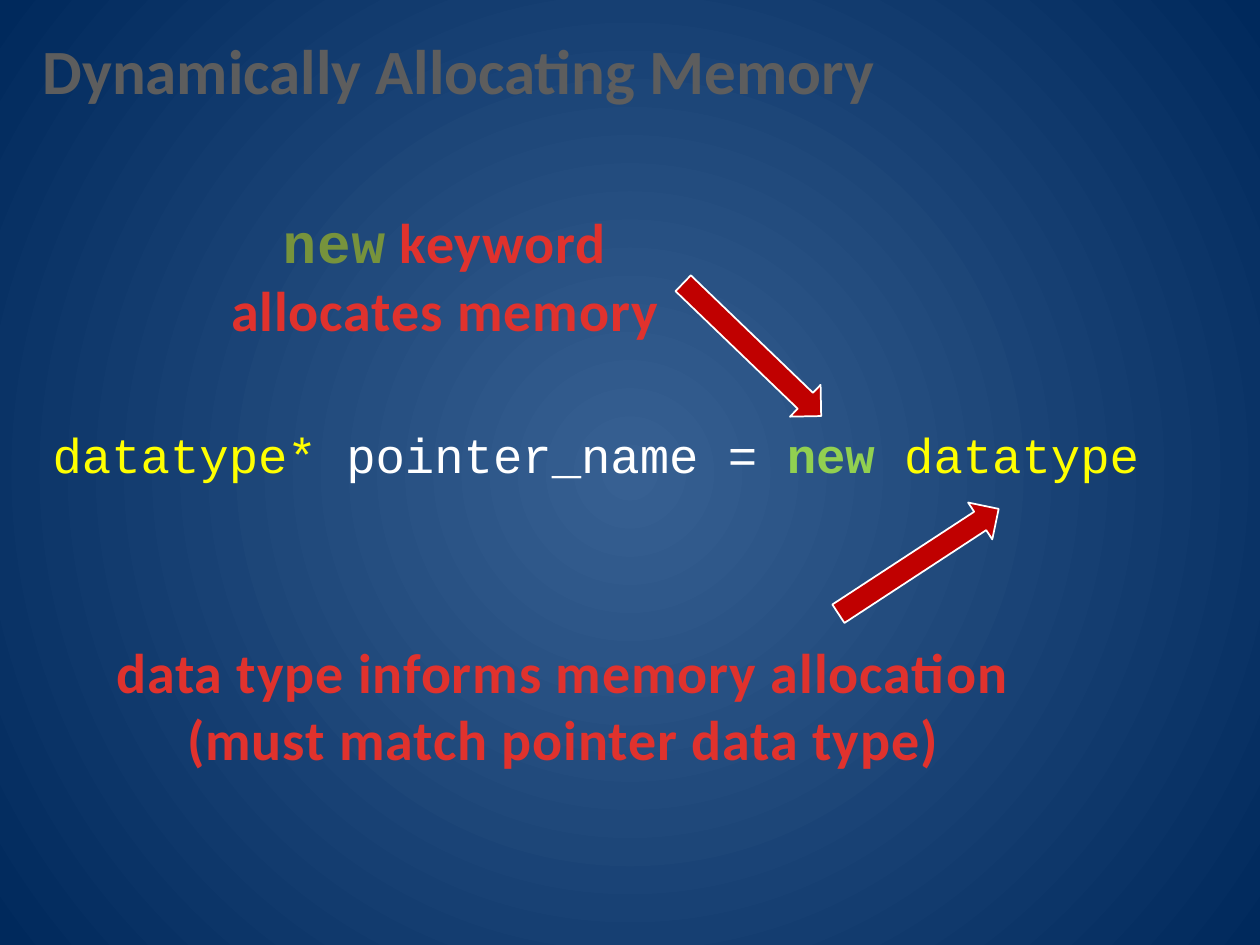
"""Builds a slide on allocating memory with the new keyword."""
from lxml.etree import SubElement
from pptx import Presentation
from pptx.dml.color import RGBColor
from pptx.enum.shapes import MSO_SHAPE as Shape
from pptx.enum.text import MSO_AUTO_SIZE as Auto, PP_ALIGN as Align
from pptx.oxml.ns import qn
from pptx.util import Inches, Pt


def color(code):
    return RGBColor.from_string(code)


def write(box, runs, size, align=Align.LEFT, wrap=False, space=0):
    left, top, width, height = map(Inches, box)
    frame = slide.shapes.add_textbox(left, top, width, height).text_frame
    frame.word_wrap = wrap
    frame.auto_size = Auto.SHAPE_TO_FIT_TEXT
    line = frame.paragraphs[0]
    line.alignment = align
    for text, face, code, bold in runs:
        run = line.add_run()
        run.text = text
        font = run.font
        font.name, font.size, font.bold = face, Pt(size), bold
        font.color.rgb = color(code)
        if space:
            font._element.set("spc", str(space))


SANS, MONO = "Calibri", "Courier New"
RED, YELLOW = "E0322D", "FFFF00"

deck = Presentation()
deck.slide_width, deck.slide_height = Inches(10), Inches(7.5)
slide = deck.slides.add_slide(deck.slide_layouts[6])

fill = slide.background.fill
fill.gradient()
for stop, code in zip(fill.gradient_stops, ["376092", "00295C"]):
    stop.color.rgb = color(code)
grad = slide.element.find(".//" + qn("a:gradFill"))
grad.remove(grad.find(qn("a:lin")))
glow = SubElement(grad, qn("a:path"), {"path": "circle"})
SubElement(glow, qn("a:fillToRect"), dict.fromkeys("ltrb", "50000"))

write((0.24, 0.2, 6.88, 0.71),
      [("Dynamically Allocating Memory", SANS, "5D5D5D", True)], size=36)
write((0.32, 3.32, 9.13, 0.57),
      [("datatype* ", MONO, YELLOW, False),
       ("pointer_name = ", MONO, "FFFFFF", False),
       ("new ", MONO, "92D050", True),
       ("datatype", MONO, YELLOW, False)], size=28)

for left, top, turn in [(6.53, 4.28, 326.8), (5.21, 2.6, 43.9)]:
    arrow = slide.shapes.add_shape(
        Shape.RIGHT_ARROW, Inches(left), Inches(top), Inches(1.52), Inches(0.35))
    arrow.rotation = turn
    arrow.shadow.inherit = False
    arrow.fill.solid()
    arrow.fill.fore_color.rgb = color("C00000")
    arrow.line.color.rgb = color("FFFFFF")
    arrow.line.width = Pt(1)

notes = [
    ((1.53, 1.6, 4, 1.18),
     [("new", MONO, "77933C", True),
      (" keyword allocates memory", SANS, RED, True)]),
    ((0.67, 5.01, 7.6, 1.18),
     [("data type informs memory allocation (must match pointer data type)",
       SANS, RED, True)]),
]
for box, runs in notes:
    write(box, runs, size=32, align=Align.CENTER, wrap=True, space=50)

deck.save("out.pptx")
